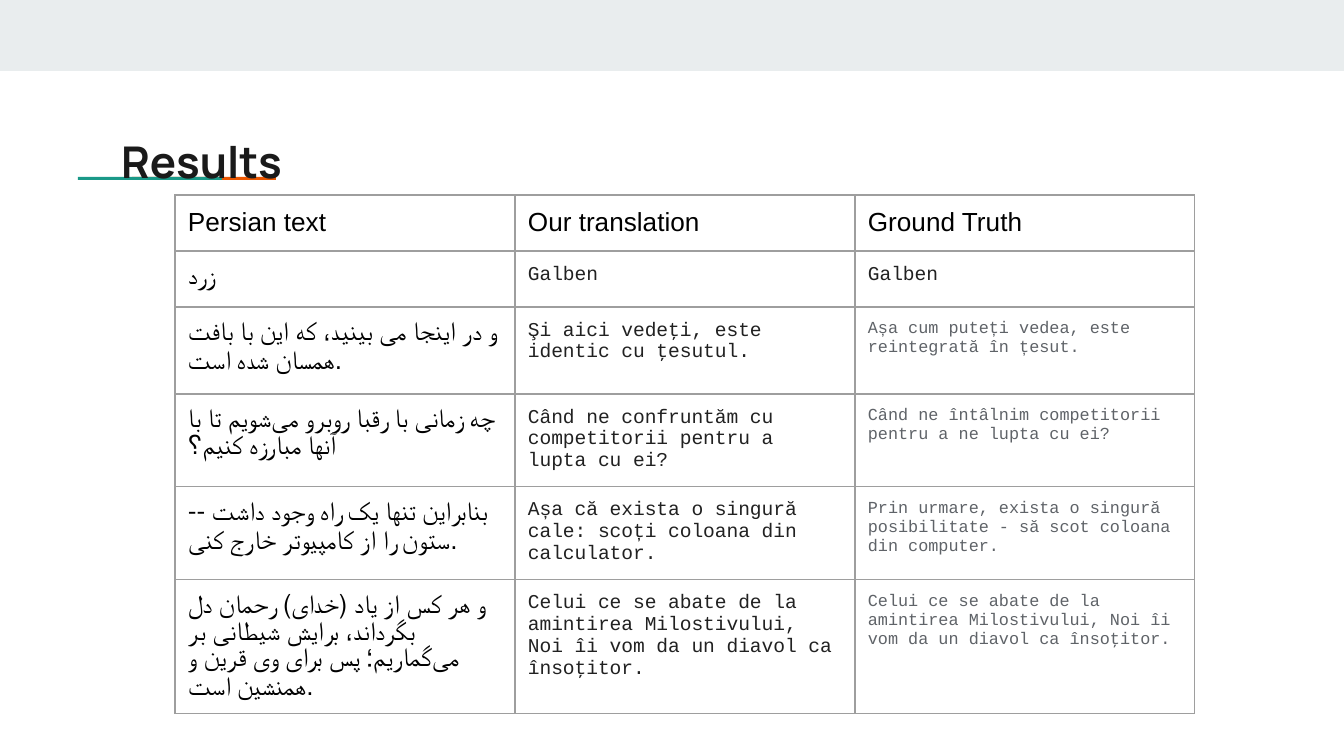
from lxml.etree import SubElement as Sub
from pptx import Presentation
from pptx.dml.color import RGBColor as Rgb
from pptx.enum.shapes import MSO_SHAPE as Shape
from pptx.enum.text import MSO_ANCHOR as Anchor, MSO_AUTO_SIZE as Fit, PP_ALIGN as Align
from pptx.oxml.ns import qn
from pptx.util import Pt

SCALE = 914400 / 134.4
WIDE, HIGH = 1344, 756
PAD = 13

MIST = Rgb(0xE9, 0xED, 0xEE)
TEAL = Rgb(0x1A, 0x99, 0x88)
RUST = Rgb(0xEB, 0x56, 0x00)
INK = Rgb(0x1A, 0x1A, 0x1A)
BLACK = Rgb(0, 0, 0)
DARK = Rgb(0x21, 0x21, 0x21)
GREY = Rgb(0x5F, 0x63, 0x68)
EDGE = Rgb(0x9E, 0x9E, 0x9E)

LARGE = ("Arial", 14, BLACK)
CODE = ("Courier New", 10.5, DARK)
SMALL = ("Courier New", 9, GREY)

SPLIT = chr(0x200C)
HEAD = ("Persian text", "Our translation", "Ground Truth")
ROWS = [
    ("زرد", "Galben", "Galben"),
    ("و در اینجا می بینید، که این با بافت همسان شده است.",
     "Şi aici vedeţi, este identic cu ţesutul.",
     "Așa cum puteți vedea, este reintegrată în țesut."),
    (f"چه زمانی با رقبا روبرو می{SPLIT}شویم تا با آنها مبارزه کنیم؟",
     "Când ne confruntăm cu competitorii pentru a lupta cu ei?",
     "Când ne întâlnim competitorii pentru a ne lupta cu ei?"),
    ("بنابراین تنها یک راه وجود داشت -- ستون را از کامپیوتر خارج کنی.",
     "Așa că exista o singură cale: scoți coloana din calculator.",
     "Prin urmare, exista o singură posibilitate - să scot coloana din computer."),
    (f"و هر کس از یاد (خدای) رحمان دل بگرداند، برایش شیطانی بر می{SPLIT}گماریم؛ پس برای وی قرین و همنشین است.",
     *["Celui ce se abate de la amintirea Milostivului, Noi îi vom da un diavol ca însoţitor."] * 2),
]
TALL = (56, 56, 87, 93, 93, 134)


def px(n):
    return round(n * SCALE)


def bar(slide, x, y, w, h, color):
    rect = slide.shapes.add_shape(Shape.RECTANGLE, px(x), px(y), px(w), px(h))
    rect.shadow.inherit = False
    rect.fill.solid()
    rect.fill.fore_color.rgb = color
    rect.line.fill.background()


def write(frame, text, style, bold=False):
    name, size, color = style
    par = frame.paragraphs[0]
    par.alignment = Align.LEFT
    run = par.add_run()
    run.text = text
    font = run.font
    font.name, font.size, font.bold = name, Pt(size), bold
    font.color.rgb = color


def pad(box):
    box.margin_left = box.margin_right = px(PAD)
    box.margin_top = box.margin_bottom = px(PAD)


def heading(slide, x, y, w, h):
    bar(slide, x + 24, y + 55, 144, 3, RUST)
    bar(slide, x - 30, y + 55, 144, 3, TEAL)
    title = slide.shapes.title
    title.left, title.top, title.width, title.height = map(px, (x, y, w, h))
    frame = title.text_frame
    frame.auto_size = Fit.NONE
    frame.word_wrap = True
    frame.vertical_anchor = Anchor.TOP
    pad(frame)
    write(frame, "Results", ("Manrope", 23.4, INK), True)
    slide.shapes._spTree.append(title._element)


def border(cell):
    props = cell._tc.get_or_add_tcPr()
    for side in ("a:lnL", "a:lnR", "a:lnT", "a:lnB"):
        line = Sub(props, qn(side), w=str(Pt(0.75)))
        fill = Sub(line, qn("a:solidFill"))
        Sub(fill, qn("a:srgbClr"), val=str(EDGE))


def style(row, col):
    if row == 0 or col == 0:
        return LARGE
    return CODE if row == 1 or col == 1 else SMALL


def grid(slide, x, y, w):
    data = [HEAD, *ROWS]
    cols = len(HEAD)
    table = slide.shapes.add_table(
        len(data), cols, px(x), px(y), px(w), px(sum(TALL))).table
    table.first_row = table.horz_banding = False
    for col in table.columns:
        col.width = px(w / cols)
    for i, (texts, tall) in enumerate(zip(data, TALL)):
        table.rows[i].height = px(tall)
        for j, text in enumerate(texts):
            cell = table.cell(i, j)
            pad(cell)
            border(cell)
            cell.fill.background()
            write(cell.text_frame, text, style(i, j))


def main():
    deck = Presentation()
    deck.slide_width, deck.slide_height = px(WIDE), px(HIGH)
    slide = deck.slides.add_slide(deck.slide_layouts[5])
    bar(slide, 0, 0, WIDE, 71, MIST)
    heading(slide, 108, 122, 1130, 79)
    grid(slide, 175, 195, 1020)
    deck.save("out.pptx")


if __name__ == "__main__":
    main()
